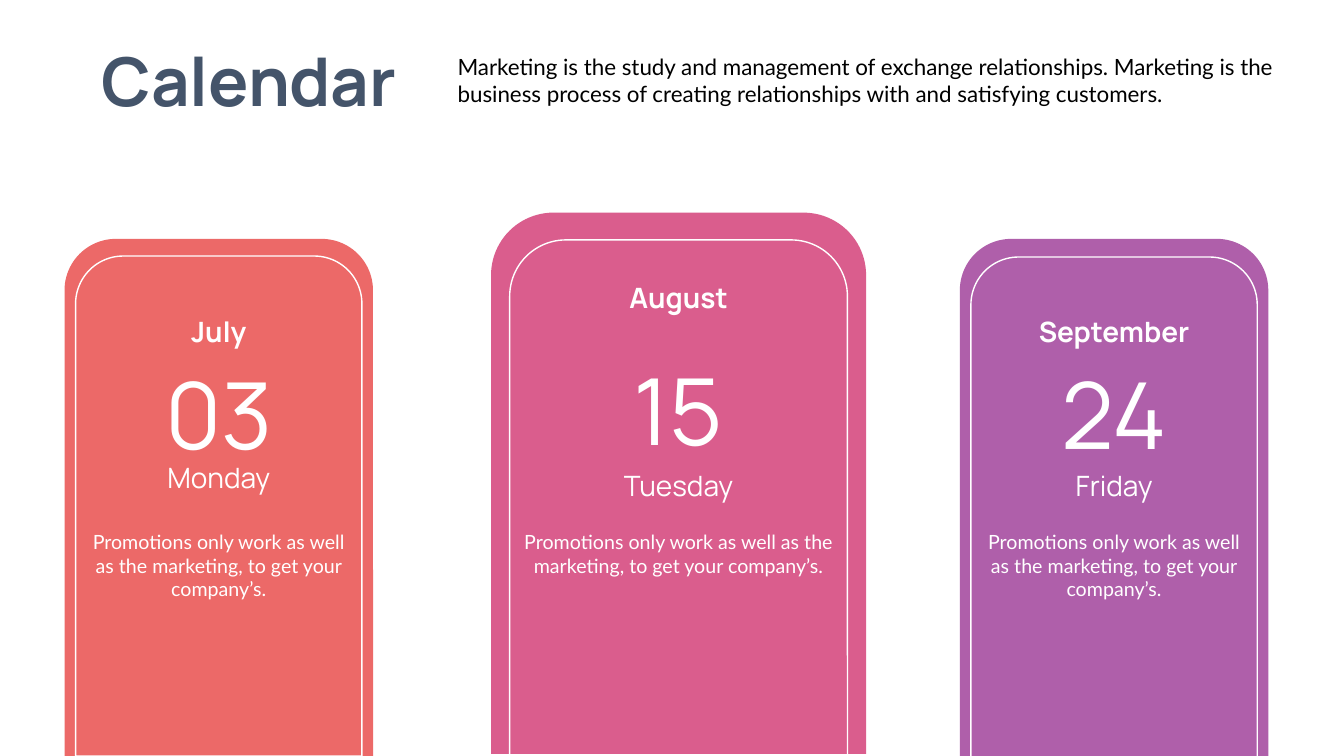
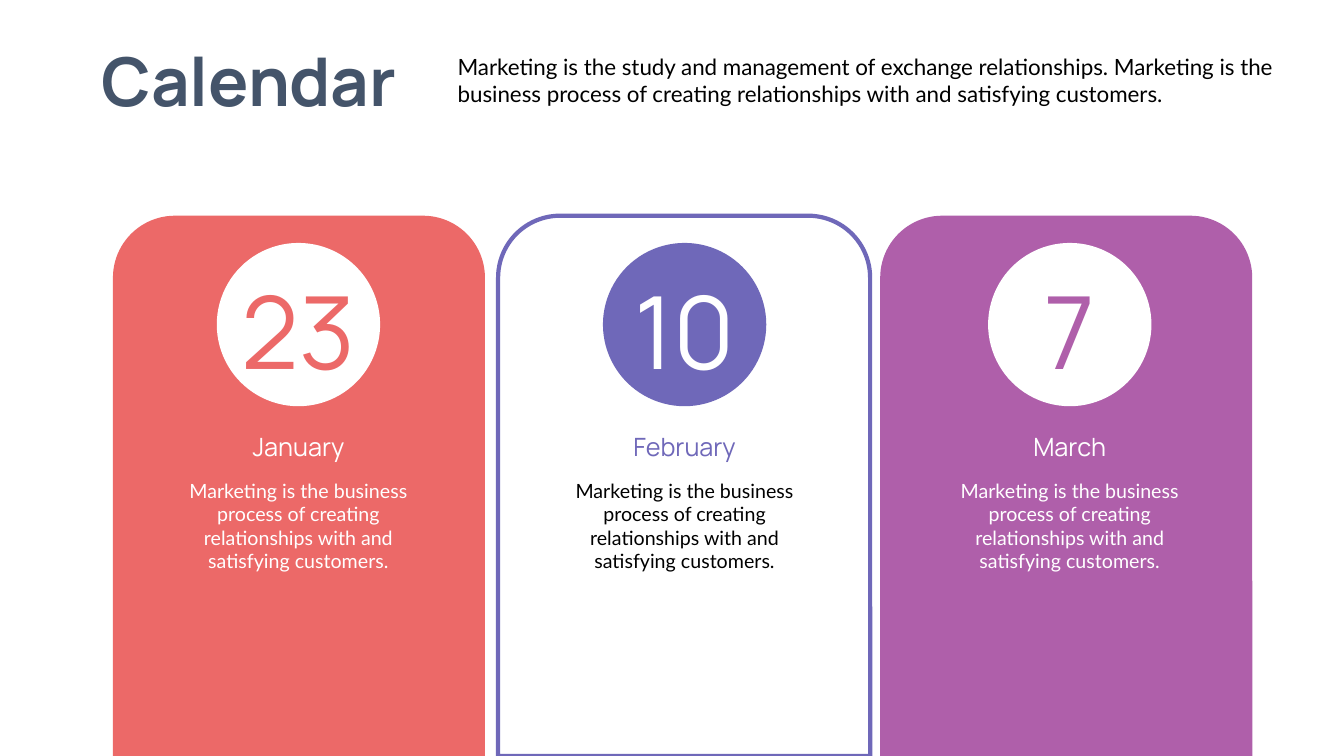
from pptx import Presentation
from pptx.dml.color import RGBColor
from pptx.enum import shapes, text
from pptx.util import Inches, Pt

COLORS = {
    "title": "44546A",
    "black": "000000",
    "white": "FFFFFF",
    "coral": "EC6968",
    "pink": "DA5D8D",
    "purple": "AF5FAA",
    "violet": "6F68B9",
}
HEADING_FONT = "Manrope"
BODY_FONT = "Lato"
CARD = shapes.MSO_SHAPE.ROUND_2_SAME_RECTANGLE
CIRCLE = shapes.MSO_SHAPE.OVAL

INTRO = (
    "Marketing is the study and management of exchange relationships. "
    "Marketing is the business process of creating relationships with "
    "and satisfying customers."
)
PROMOTION = "Promotions only work as well as the marketing, to get your company’s."
PROCESS = (
    "Marketing is the business process of creating relationships with "
    "and satisfying customers."
)


def color(name):
    return RGBColor.from_string(COLORS[name])


def add_figure(page, kind, left, top, width, height, fill=None, line=None, weight=1):
    figure = page.shapes.add_shape(
        kind, Inches(left), Inches(top), Inches(width), Inches(height)
    )
    figure.shadow.inherit = False
    if fill:
        figure.fill.solid()
        figure.fill.fore_color.rgb = color(fill)
    else:
        figure.fill.background()
    if line:
        figure.line.color.rgb = color(line)
        figure.line.width = Pt(weight)
    else:
        figure.line.fill.background()


def add_text(page, words, left, top, width, height, size, ink="white",
             font=HEADING_FONT, bold=False, centered=True, wrap=True):
    box = page.shapes.add_textbox(
        Inches(left), Inches(top), Inches(width), Inches(height)
    )
    frame = box.text_frame
    frame.word_wrap = wrap
    frame.auto_size = text.MSO_AUTO_SIZE.SHAPE_TO_FIT_TEXT
    frame.text = words
    para = frame.paragraphs[0]
    if centered:
        para.alignment = text.PP_ALIGN.CENTER
    span = para.runs[0]
    span.font.name = font
    span.font.size = Pt(size)
    span.font.bold = bold
    span.font.color.rgb = color(ink)
    return box


def add_centered(page, words, center, top, width, height, size, **style):
    return add_text(page, words, center - width / 2, top, width, height, size, **style)


def add_tight(page, words, center, top, width, height, size, ink="white"):
    box = add_centered(page, words, center, top, width, height, size, ink=ink)
    frame = box.text_frame
    frame.margin_left = frame.margin_right = 0
    frame.margin_top = frame.margin_bottom = 0
    frame.vertical_anchor = text.MSO_ANCHOR.MIDDLE
    frame.paragraphs[0].line_spacing = 0.9


def add_page(deck):
    page = deck.slides.add_slide(deck.slide_layouts[6])
    add_text(page, "Calendar", 0.75, 0.34, 3.44, 0.91, 48,
             ink="title", bold=True, wrap=False)
    add_text(page, INTRO, 4.44, 0.48, 8.64, 0.64, 16,
             ink="black", font=BODY_FONT, centered=False)
    return page


def add_day_card(page, center, fill, card, frame, month, month_top,
                 number, number_top, weekday, weekday_top, body_width):
    for (top, width, height), style in (
        (card, {"fill": fill}),
        (frame, {"line": "white"}),
    ):
        add_figure(page, CARD, center - width / 2, top, width, height, **style)
    add_centered(page, month, center, month_top, 2.01, 0.44, 20, bold=True)
    add_tight(page, number, center, number_top, 1.95, 1.03, 66)
    add_tight(page, weekday, center, weekday_top, 1.95, 0.31, 20)
    add_centered(page, PROMOTION, center, 5.21, body_width, 0.81, 14, font=BODY_FONT)


def add_month_card(page, left, center, card_style, circle, number, number_ink,
                   month, month_ink, body_ink):
    add_figure(page, CARD, left, 2.14, 3.69, 5.36, **card_style)
    add_figure(page, CIRCLE, center - 0.81, 2.41, 1.62, 1.62, fill=circle)
    add_tight(page, number, center, 2.78, 2.19, 1.12, 72, ink=number_ink)
    add_centered(page, month, center, 4.23, 2.22, 0.4, 18, ink=month_ink)
    add_centered(page, PROCESS, center, 4.7, 2.41, 1.04, 14,
                 ink=body_ink, font=BODY_FONT)


def build_days(deck):
    page = add_page(deck)
    side = (2.37, 3.06, 5.13)
    middle = (2.11, 3.72, 5.37)
    add_day_card(page, 2.17, "coral", side, (2.54, 2.84, 4.96),
                 "July", 3.07, "03", 3.65, "Monday", 4.6, 2.84)
    add_day_card(page, 6.73, "pink", middle, (2.38, 3.35, 5.11),
                 "August", 2.73, "15", 3.61, "Tuesday", 4.68, 3.72)
    add_day_card(page, 11.05, "purple", side, (2.55, 2.84, 4.96),
                 "September", 3.07, "24", 3.65, "Friday", 4.68, 2.84)


def build_months(deck):
    page = add_page(deck)
    outline = {"line": "violet", "weight": 3}
    add_month_card(page, 1.12, 2.96, {"fill": "coral"}, "white",
                   "23", "coral", "January", "white", "white")
    add_month_card(page, 4.94, 6.79, outline, "violet",
                   "10", "white", "February", "violet", "black")
    add_month_card(page, 8.73, 10.61, {"fill": "purple"}, "white",
                   "7", "purple", "March", "white", "white")


def main():
    deck = Presentation()
    deck.slide_width = Inches(13.33)
    deck.slide_height = Inches(7.5)
    build_days(deck)
    build_months(deck)
    deck.save("out.pptx")


if __name__ == "__main__":
    main()
